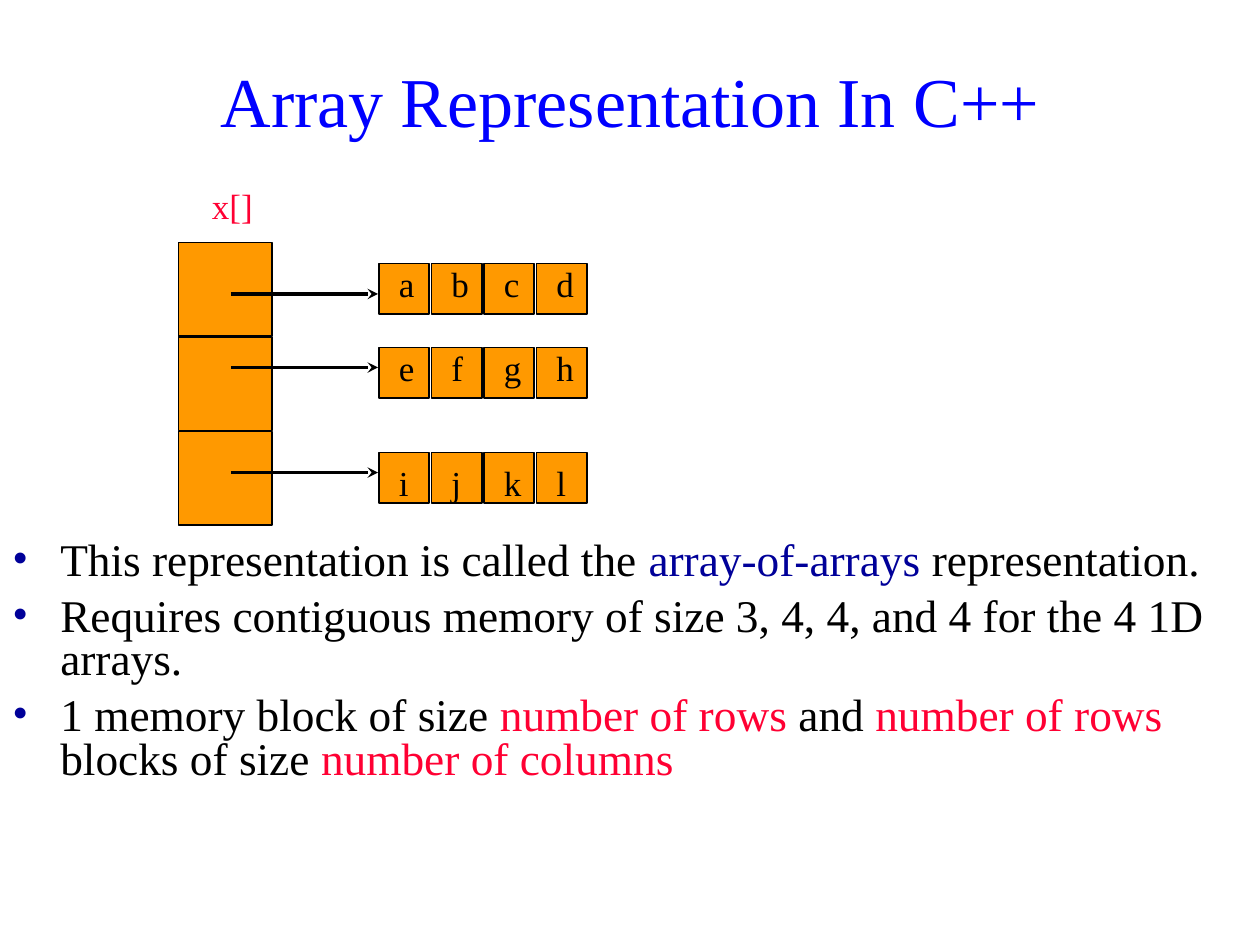
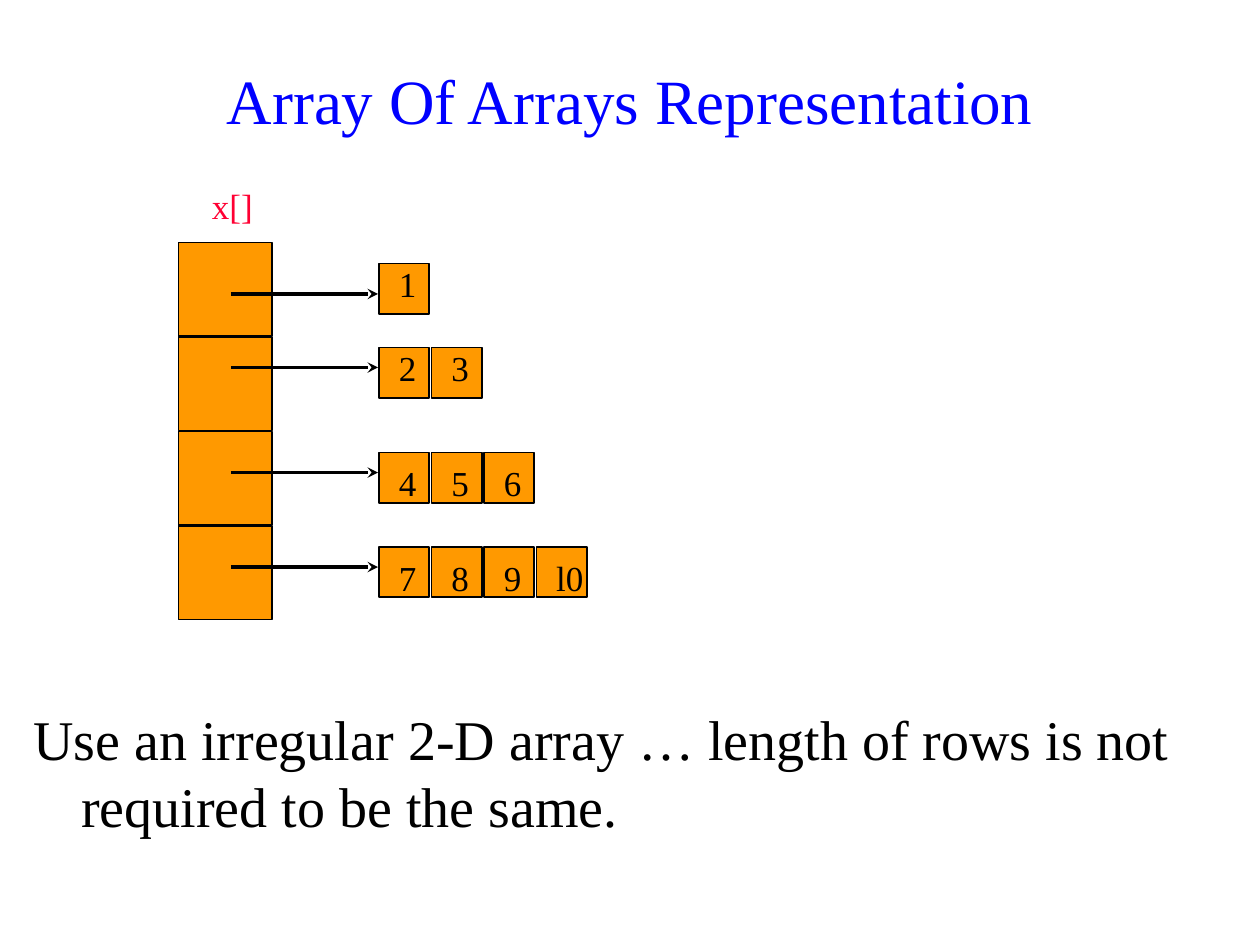
from pptx import Presentation
from pptx.dml.color import RGBColor as RGB
from pptx.enum.shapes import MSO_CONNECTOR as Connector, MSO_SHAPE as Shape
from pptx.enum.text import MSO_ANCHOR as Anchor, PP_ALIGN as Align
from pptx.oxml.ns import qn
from pptx.util import Inches, Pt
from lxml.etree import SubElement

FONT = "Times New Roman"
COLORS = {"title": "0000FF", "text": "000000", "term": "000099",
          "accent": "FF0033", "cell": "FF9900", "line": "000000"}

# The slide is a grid of 120 columns by 90 rows, each 1/12 inch
UNIT = Inches(1) / 12
COLUMNS, ROWS = 120, 90

# Memory diagram, in grid units
POINTER_LEFT, POINTER_TOP, POINTER_SIZE, POINTER_PITCH = 17, 23.1, 8.9, 9
CELL_LEFT, CELL_SIZE, CELL_PITCH = 36.1, 4.8, 5
ARROW_START, ARROW_END = 22, 36
ARRAY_ROWS = [  # cell top, label top, arrow height
    (25.1, 24.4, 28), (33.1, 32.4, 35), (43.1, 43.4, 45), (52.1, 52.4, 54)]


def grid(*lengths):
    return [round(length * UNIT) for length in lengths]


def add_text(slide, place, paragraphs, size, wrap=True, anchor=Anchor.TOP,
             align=Align.LEFT, hanging=False, bullet=False):
    """Each paragraph is a list of (words, colour name) pairs."""
    frame = slide.shapes.add_textbox(*grid(*place)).text_frame
    frame.word_wrap = wrap
    frame.vertical_anchor = anchor
    for number, pieces in enumerate(paragraphs):
        paragraph = frame.add_paragraph() if number else frame.paragraphs[0]
        paragraph.alignment = align
        if number:
            paragraph.space_before = Pt(7)
        properties = paragraph._p.get_or_add_pPr()
        if hanging:
            properties.set("marL", str(Inches(0.38)))
            properties.set("indent", str(-Inches(0.38)))
        if bullet:
            paragraph.line_spacing = 0.8
            bullet_color = SubElement(properties, qn("a:buClr"))
            SubElement(bullet_color, qn("a:srgbClr"), val=COLORS["term"])
            SubElement(properties, qn("a:buFont"), typeface=FONT)
            SubElement(properties, qn("a:buChar"), char="•")
        paragraph.font.name = FONT
        paragraph.font.size = Pt(size)
        for words, color in pieces:
            run = paragraph.add_run()
            run.text = words
            run.font.color.rgb = RGB.from_string(COLORS[color])


lectures = [
    {"title": "Array Representation In C++", "title_size": 40,
     "arrays": [["a", "b", "c", "d"], ["e", "f", "g", "h"], ["i", "j", "k", "l"]],
     "place": (0, 51, 116, 26), "size": 25.9, "bullet": True,
     "remarks": [
         [("This representation is called the ", "text"),
          ("array-of-arrays", "term"), (" representation.", "text")],
         [("Requires contiguous memory of size 3, 4, 4, and 4 "
           "for the 4 1D arrays.", "text")],
         [("1 memory block of size ", "text"), ("number of rows ", "accent"),
          ("and ", "text"), ("number of rows ", "accent"),
          ("blocks of size ", "text"), ("number of columns", "accent")]]},
    {"title": "Array Of Arrays Representation", "title_size": 36,
     "arrays": [["1"], ["2", "3"], ["4", "5", "6"], ["7", "8", "9", "l0"]],
     "place": (2, 66.5, 116, 18.5), "size": 32, "bullet": False,
     "remarks": [[("Use an irregular 2-D array … length of rows is not "
                   "required to be the same.", "text")]]},
]

deck = Presentation()
deck.slide_width, deck.slide_height = grid(COLUMNS, ROWS)

for lecture in lectures:
    slide = deck.slides.add_slide(deck.slide_layouts[6])

    # Title and remarks
    add_text(slide, (3, 2, COLUMNS - 6, 15), [[(lecture["title"], "title")]],
             lecture["title_size"], anchor=Anchor.MIDDLE, align=Align.CENTER)
    add_text(slide, lecture["place"], lecture["remarks"], lecture["size"],
             hanging=True, bullet=lecture["bullet"])

    # Column of pointers and the cells of each row array
    arrays = list(zip(lecture["arrays"], ARRAY_ROWS))
    squares = [(POINTER_LEFT, POINTER_TOP + index * POINTER_PITCH, POINTER_SIZE)
               for index in range(len(arrays))]
    squares += [(CELL_LEFT + column * CELL_PITCH, cell_top, CELL_SIZE)
                for values, (cell_top, _, _) in arrays
                for column in range(len(values))]
    for left, top, side in squares:
        square = slide.shapes.add_shape(Shape.RECTANGLE, *grid(left, top, side, side))
        square.shadow.inherit = False
        square.fill.solid()
        square.fill.fore_color.rgb = RGB.from_string(COLORS["cell"])
        square.line.color.rgb = RGB.from_string(COLORS["line"])
        square.line.width = Pt(1)

    # Arrows from the pointers, and the cell values
    for values, (_, label_top, arrow_y) in arrays:
        arrow = slide.shapes.add_connector(
            Connector.STRAIGHT, *grid(ARROW_START, arrow_y, ARROW_END, arrow_y))
        arrow.line.color.rgb = RGB.from_string(COLORS["line"])
        arrow.line.width = Pt(2)
        outline = arrow.element.spPr.find(qn("a:ln"))
        SubElement(outline, qn("a:tailEnd"), type="stealth")
        SubElement(arrow.element.spPr, qn("a:effectLst"))
        for column, value in enumerate(values):
            label_left = CELL_LEFT + 0.7 + column * CELL_PITCH
            label_width = 3 + len(value)
            add_text(slide, (label_left, label_top, label_width, 5.2),
                     [[(value, "text")]], 20, wrap=False)

    # Array name
    add_text(slide, (19, 17, 10, 5.2), [[("x[]", "accent")]], 20)

deck.save("out.pptx")
